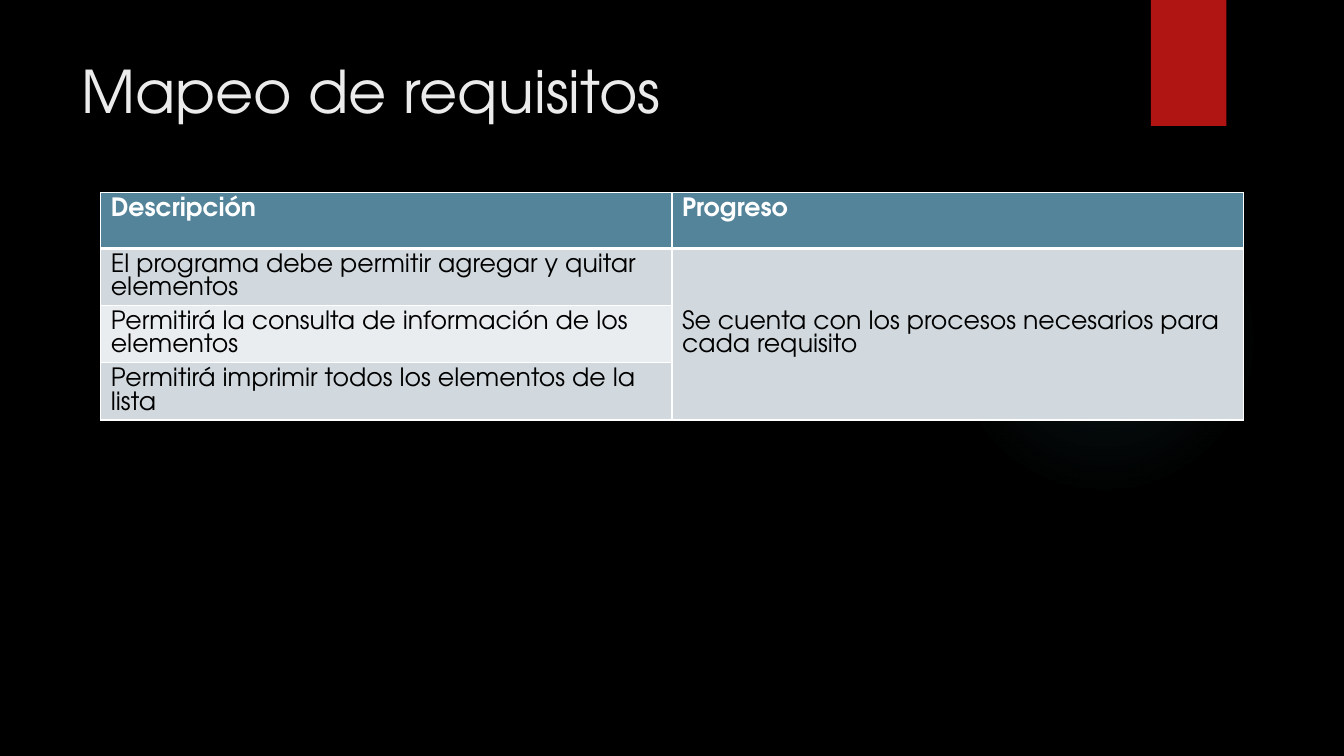
from pptx import Presentation
from pptx.dml.color import RGBColor as Rgb
from pptx.enum.shapes import MSO_SHAPE as Preset
from pptx.enum.text import MSO_ANCHOR as Anchor
from pptx.oxml import parse_xml
from pptx.oxml.ns import nsdecls
from pptx.util import Pt

THEME = {
    "font": "TeX Gyre Adventor", "title_size": 42, "body_size": 18, "body_leading": 16.8,
    "background": "000000", "accent": "B01513", "glow": "50B9C1",
    "title": "EBEBEB", "header": "54849A", "header_text": "FFFFFF",
    "body_text": "000000", "bands": ["D1D9DE", "E9EDEF"], "rule": "FFFFFF",
}


def write(frame, text, size, color, bold=False):
    paragraph = frame.paragraphs[0]
    run = paragraph.add_run()
    run.text = text
    formats = {"name": THEME["font"], "size": Pt(size), "bold": bold}
    for key, value in formats.items():
        setattr(run.font, key, value)
    run.font.color.rgb = Rgb.from_string(color)
    return paragraph


def add_borders(cell, bottom):
    widths = {"lnL": 1, "lnR": 1, "lnT": 1, "lnB": bottom}
    for position, (side, width) in enumerate(widths.items()):
        cell._tc.get_or_add_tcPr().insert(position, parse_xml(
            f'<a:{side} {nsdecls("a")} w="{Pt(width)}"><a:solidFill>'
            f'<a:srgbClr val="{THEME["rule"]}"/></a:solidFill></a:{side}>'))


deck = Presentation()
deck.slide_width, deck.slide_height = Pt(960), Pt(540)
slide = deck.slides.add_slide(deck.slide_layouts[6])
slide.background.fill.solid()
slide.background.fill.fore_color.rgb = Rgb.from_string(THEME["background"])

glow = slide.shapes.add_shape(Preset.OVAL, Pt(677.5), Pt(132), Pt(222), Pt(222))
glow.shadow.inherit = False
glow.line.fill.background()
stops = "".join(
    f'<a:gs pos="{place * 1000}"><a:srgbClr val="{THEME["glow"]}">'
    f'<a:alpha val="{alpha * 1000}"/></a:srgbClr></a:gs>'
    for place, alpha in [(0, 7), (36, 6), (69, 0)])
glow._element.spPr.find(".//{*}prstGeom").addnext(parse_xml(
    f'<a:gradFill {nsdecls("a")}><a:gsLst>{stops}</a:gsLst><a:path path="circle">'
    '<a:fillToRect l="50000" t="50000" r="50000" b="50000"/></a:path></a:gradFill>'))

ribbon = slide.shapes.add_shape(Preset.RECTANGLE, Pt(822), 0, Pt(54), Pt(90))
ribbon.shadow.inherit = False
ribbon.line.fill.background()
ribbon.fill.solid()
ribbon.fill.fore_color.rgb = Rgb.from_string(THEME["accent"])

title = slide.shapes.add_textbox(Pt(51), Pt(35.5), Pt(741), Pt(110)).text_frame
title.word_wrap = True
write(title, "Mapeo de requisitos", THEME["title_size"], THEME["title"])

headings = ["Descripción", "Progreso"]
requirements = [
    "El programa debe permitir agregar y quitar elementos",
    "Permitirá la consulta de información de los elementos",
    "Permitirá imprimir todos los elementos de la lista",
]
progress = "Se cuenta con los procesos necesarios para cada requisito"
rows = [headings, [requirements[0], progress]] + [[text, ""] for text in requirements[1:]]

table = slide.shapes.add_table(4, 2, Pt(72), Pt(137.5), Pt(816), Pt(162.4)).table
for column in table.columns:
    column.width = Pt(408)
for index, texts in enumerate(rows):
    is_header = index == 0
    table.rows[index].height = Pt(40 if is_header else 40.8)
    band = THEME["header"] if is_header else THEME["bands"][(index - 1) % 2]
    color = THEME["header_text"] if is_header else THEME["body_text"]
    for cell, text in zip(table.rows[index].cells, texts):
        cell.fill.solid()
        cell.fill.fore_color.rgb = Rgb.from_string(band)
        add_borders(cell, 3 if is_header else 1)
        if text:
            paragraph = write(cell.text_frame, text, THEME["body_size"], color, is_header)
            if not is_header:
                paragraph.line_spacing = Pt(THEME["body_leading"])

table.cell(1, 1).merge(table.cell(3, 1))
table.cell(1, 1).vertical_anchor = Anchor.MIDDLE

deck.save("out.pptx")
